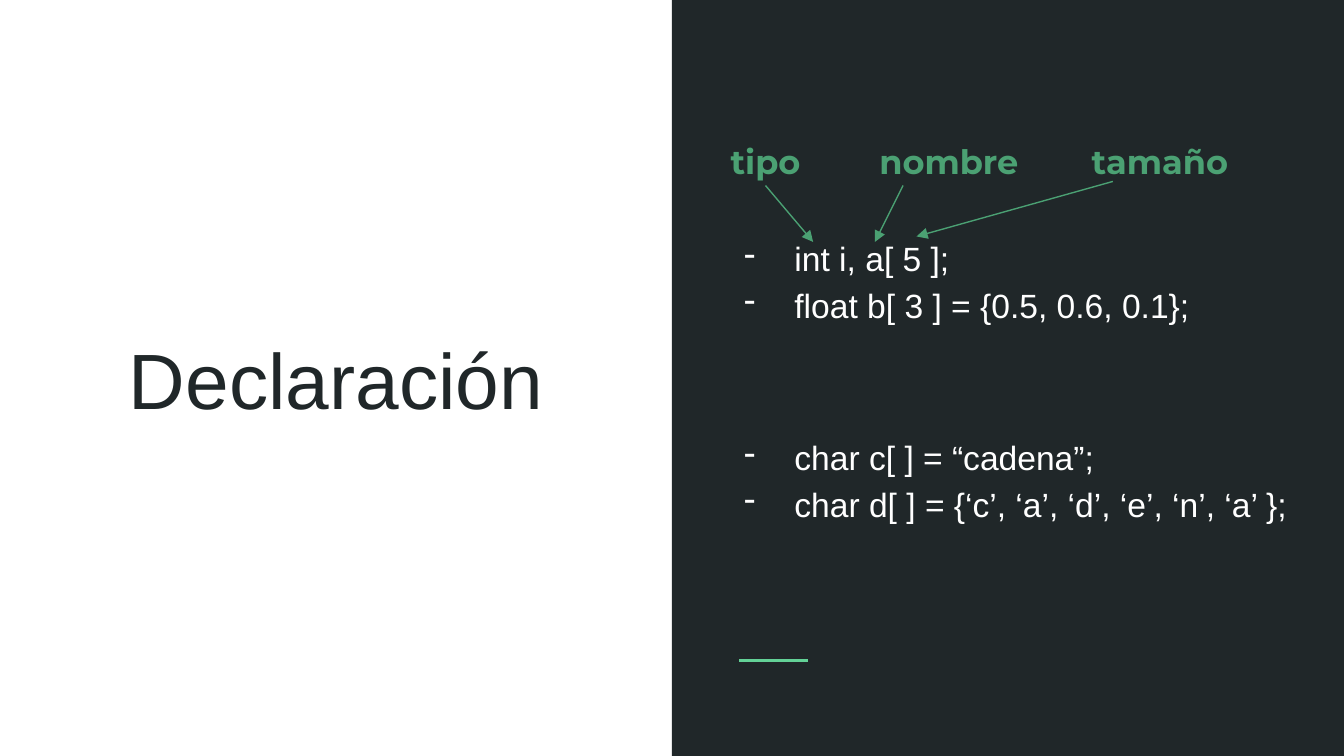
from lxml import etree
from pptx import Presentation
from pptx.dml.color import RGBColor
from pptx.enum.shapes import MSO_CONNECTOR, MSO_SHAPE
from pptx.enum.text import MSO_ANCHOR, PP_ALIGN
from pptx.oxml.ns import qn
from pptx.util import Pt

WHITE = RGBColor(0xFF, 0xFF, 0xFF)
DARK = RGBColor(0x20, 0x27, 0x29)
GREEN = RGBColor(0x4B, 0xA1, 0x73)
MINT = RGBColor(0x63, 0xD2, 0x97)
STRAIGHT = MSO_CONNECTOR.STRAIGHT
RECTANGLE = MSO_SHAPE.RECTANGLE
TOP, MIDDLE = MSO_ANCHOR.TOP, MSO_ANCHOR.MIDDLE
LEFT, CENTER = PP_ALIGN.LEFT, PP_ALIGN.CENTER
BOTTOM_SIDE = 2


def add_text(place, lines, font, size, color, anchor=MIDDLE, align=CENTER, bold=False):
    box = slide.shapes.add_textbox(*[Pt(length) for length in place])
    frame = box.text_frame
    frame.word_wrap = True
    frame.vertical_anchor = anchor
    frame.margin_left = frame.margin_right = Pt(7.2)
    frame.margin_top = frame.margin_bottom = Pt(7.2)
    frame.text = "\n".join(lines)
    for para in frame.paragraphs:
        para.alignment = align
        for span in para.runs:
            span.font.name = font
            span.font.size = Pt(size)
            span.font.bold = bold
            span.font.color.rgb = color
    return box


def add_line(start, end, color, width):
    line = slide.shapes.add_connector(STRAIGHT, *[Pt(length) for length in start + end])
    line.line.color.rgb = color
    line.line.width = Pt(width)
    etree.SubElement(line._element.spPr, qn("a:effectLst"))
    return line


deck = Presentation()
deck.slide_width = Pt(720)
deck.slide_height = Pt(405)
slide = deck.slides.add_slide(deck.slide_layouts[6])
slide.background.fill.solid()
slide.background.fill.fore_color.rgb = WHITE

panel = slide.shapes.add_shape(RECTANGLE, Pt(360), Pt(0), Pt(360), Pt(405))
panel.shadow.inherit = False
panel.fill.solid()
panel.fill.fore_color.rgb = DARK
panel.line.fill.background()

add_line((396, 354), (432.6, 354), MINT, 1.5)
add_text((21, 135.4, 318, 134.6), ["Declaración"], "Arial", 42, DARK)

declarations = [
    "int i, a[ 5 ];",
    "float b[ 3 ] = {0.5, 0.6, 0.1};",
    "char c[ ] = “cadena”;",
    "char d[ ] = {‘c’, ‘a’, ‘d’, ‘e’, ‘n’, ‘a’ };",
]
code = add_text((382.5, 57, 317.5, 291), declarations, "Arial", 18, WHITE, align=LEFT)
for para in code.text_frame.paragraphs:
    para.line_spacing = 1.15
    properties = para._p.get_or_add_pPr()
    properties.set("marL", str(Pt(36)))
    properties.set("indent", str(Pt(-27)))
    bullet_color = etree.SubElement(properties, qn("a:buClr"))
    etree.SubElement(bullet_color, qn("a:srgbClr"), val=str(WHITE))
    etree.SubElement(properties, qn("a:buChar"), char="-")
code.text_frame.paragraphs[2].space_before = Pt(57)

labels = [
    ("tipo", 365.8, 88.6, (410.1, 99.4), (435.6, 129.6)),
    ("nombre", 462.2, 92.2, (483.8, 99.4), (468.7, 129.6)),
    ("tamaño", 568.1, 106.6, (596.2, 97.2), (491, 126.7)),
]
for word, left, width, start, end in labels:
    label = add_text((left, 68.4, width, 31), [word], "Montserrat", 18, GREEN, TOP, bold=True)
    arrow = add_line(start, end, GREEN, 0.75)
    etree.SubElement(arrow.line._get_or_add_ln(), qn("a:tailEnd"), type="triangle")
    if word == "tipo":
        arrow.begin_connect(label, BOTTOM_SIDE)

deck.save("out.pptx")
